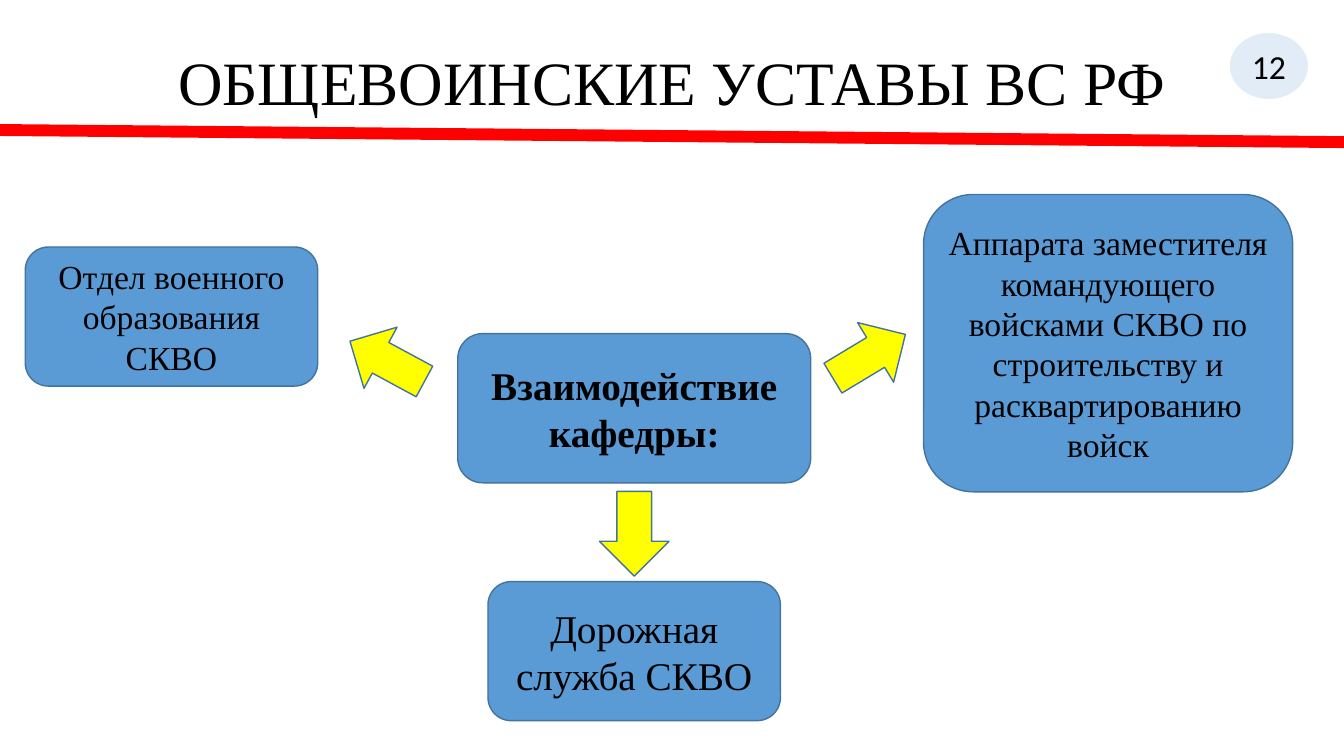
from lxml.etree import SubElement
from pptx import Presentation
from pptx.dml.color import RGBColor
from pptx.enum.shapes import MSO_CONNECTOR, MSO_SHAPE as SHAPE
from pptx.enum.text import MSO_ANCHOR, PP_ALIGN
from pptx.oxml.ns import qn
from pptx.util import Inches, Pt

BLACK = RGBColor(0x00, 0x00, 0x00)
WHITE = RGBColor(0xFF, 0xFF, 0xFF)
RED = RGBColor(0xFF, 0x00, 0x00)
YELLOW = RGBColor(0xFF, 0xFF, 0x00)
BLUE = RGBColor(0x5B, 0x9B, 0xD5)
DARK_BLUE = RGBColor(0x43, 0x73, 0x9E)
SERIF = "Times New Roman"

deck = Presentation()
deck.slide_width, deck.slide_height = Inches(13.33), Inches(7.5)
slide = deck.slides.add_slide(deck.slide_layouts[6])
WIDE, HIGH = deck.slide_width / 100, deck.slide_height / 100  # one percent


def add_figure(kind, left, top, width, height, fill, line):
    """Add a preset shape placed in percent of the slide's size."""
    figure = slide.shapes.add_shape(
        kind, int(left * WIDE), int(top * HIGH), int(width * WIDE), int(height * HIGH))
    figure.shadow.inherit = False
    figure.fill.solid()
    figure.fill.fore_color.rgb = fill
    figure.line.color.rgb = line
    figure.line.width = Pt(1)
    return figure


def write(holder, text, **font_format):
    """Put centred black text into a shape or text box."""
    frame = holder.text_frame
    frame.word_wrap = True
    frame.vertical_anchor = MSO_ANCHOR.MIDDLE
    paragraph = frame.paragraphs[0]
    paragraph.text = text
    paragraph.alignment = PP_ALIGN.CENTER
    paragraph.font.color.rgb = BLACK
    for key, value in font_format.items():
        setattr(paragraph.font, key, value)
    return frame


heading = slide.shapes.add_textbox(
    int(6.9 * WIDE), int(5.33 * HIGH), int(86.25 * WIDE), int(19.33 * HIGH))
heading_frame = write(heading, "ОБЩЕВОИНСКИЕ УСТАВЫ ВС РФ", name=SERIF, size=Pt(44))
heading_frame.vertical_anchor = MSO_ANCHOR.TOP
heading_frame.margin_top = int(1.6 * HIGH)
heading_frame.paragraphs[0].line_spacing = 0.9

divider = slide.shapes.add_connector(
    MSO_CONNECTOR.STRAIGHT, 0, int(17.2 * HIGH), deck.slide_width, int(18.8 * HIGH))
divider.line.color.rgb = RED
divider.line.width = Pt(8.5)
SubElement(divider._element.spPr, qn("a:effectLst"))

page_badge = add_figure(SHAPE.OVAL, 91.45, 4.27, 5.93, 8.93, BLUE, WHITE)
badge_color = page_badge.fill._xPr.find(qn("a:solidFill"))[0]
SubElement(badge_color, qn("a:alpha"), val="18000")
write(page_badge, "12", name="Calibri", size=Pt(24)).word_wrap = False

departments = [
    ("Взаимодействие кафедры:", (34.06, 44.13, 26.26, 19.73), 28, True),
    ("Отдел военного образования СКВО", (1.88, 32.67, 21.76, 18.4), 24, False),
    ("Дорожная служба СКВО", (36.31, 76.93, 21.76, 18.4), 28, False),
    ("Аппарата заместителя командующего войсками СКВО по строительству и "
     "расквартированию войск", (68.72, 25.73, 27.46, 39.33), 24, False),
]
for label, area, size, bold in departments:
    department = add_figure(SHAPE.ROUNDED_RECTANGLE, *area, BLUE, DARK_BLUE)
    write(department, label, name=SERIF, size=Pt(size), bold=bold)

for left, top, angle in [(25.66, 43.2, 28.4), (44.04, 66, 270), (61.52, 42.53, 148.9)]:
    pointer = add_figure(SHAPE.LEFT_ARROW, left, top, 6.3, 9.2, YELLOW, DARK_BLUE)
    pointer.rotation = angle

deck.save("out.pptx")
